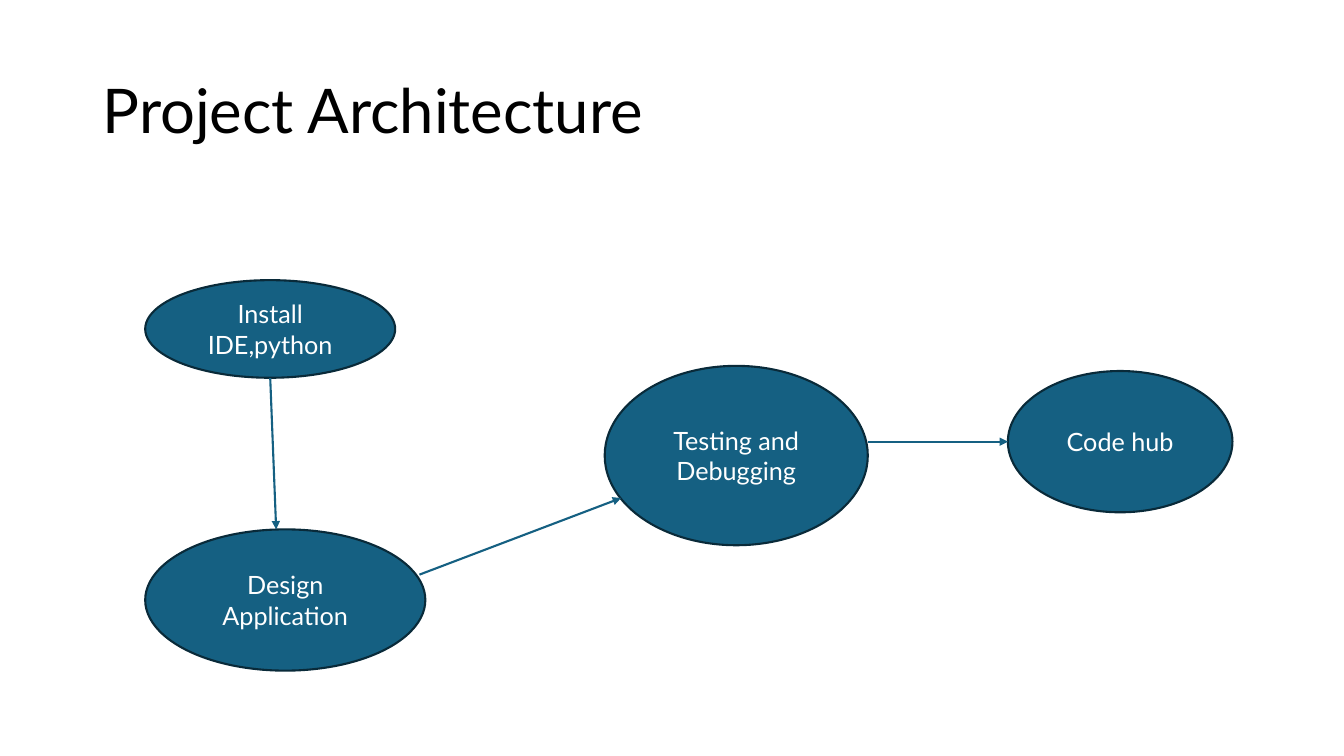
"""Build the project architecture slide with its four linked steps."""
from pptx import Presentation
from pptx import util as u
from pptx.dml.color import RGBColor
from pptx.enum import shapes, text
from pptx.oxml.ns import qn
from lxml import etree


def color(hex_code):
    return RGBColor.from_string(hex_code)


def write(frame, words, size, hex_code, align, spacing):
    frame.word_wrap = True
    frame.vertical_anchor = text.MSO_ANCHOR.MIDDLE
    paragraph = frame.paragraphs[0]
    paragraph.alignment = align
    paragraph.line_spacing = spacing
    run = paragraph.add_run()
    run.text = words
    run.font.color.rgb = color(hex_code)
    for attribute, value in {"name": "Lato", "size": u.Pt(size)}.items():
        setattr(run.font, attribute, value)


deck = Presentation()
deck.slide_width, deck.slide_height = u.Cm(33.87), u.Cm(19.05)
slide = deck.slides.add_slide(deck.slide_layouts[6])

heading = slide.shapes.add_textbox(u.Cm(2.34), u.Cm(1.02), u.Cm(29.21), u.Cm(3.68))
write(heading.text_frame, "Project Architecture", 44, "000000", text.PP_ALIGN.LEFT, 0.9)

steps = [
    ("Install IDE,python", 3.66, 7.06, 6.3, 2.46),
    ("Design Application", 3.66, 13.34, 7.06, 3.56),
    ("Testing and Debugging", 15.24, 9.22, 6.63, 4.52),
    ("Code hub", 25.4, 9.35, 5.66, 3.56),
]
for label, *box in steps:
    step = slide.shapes.add_shape(shapes.MSO_SHAPE.OVAL, *map(u.Cm, box))
    step.shadow.inherit = False
    step.fill.solid()
    step.fill.fore_color.rgb = color("156082")
    step.line.color.rgb = color("092A39")
    step.line.width = u.Pt(1.5)
    write(step.text_frame, label, 18, "FFFFFF", text.PP_ALIGN.CENTER, 1.0)

arrows = [
    (6.81, 9.53, 6.96, 13.34),
    (10.57, 14.48, 15.65, 12.55),
    (21.87, 11.13, 25.4, 11.13),
]
for ends in arrows:
    arrow = slide.shapes.add_connector(shapes.MSO_CONNECTOR.STRAIGHT, *map(u.Cm, ends))
    arrow.line.color.rgb = color("156082")
    arrow.line.width = u.Pt(1.5)
    outline = arrow.line._get_or_add_ln()
    etree.SubElement(outline, qn("a:tailEnd"), type="triangle")
    etree.SubElement(outline.getparent(), qn("a:effectLst"))

deck.save("out.pptx")
